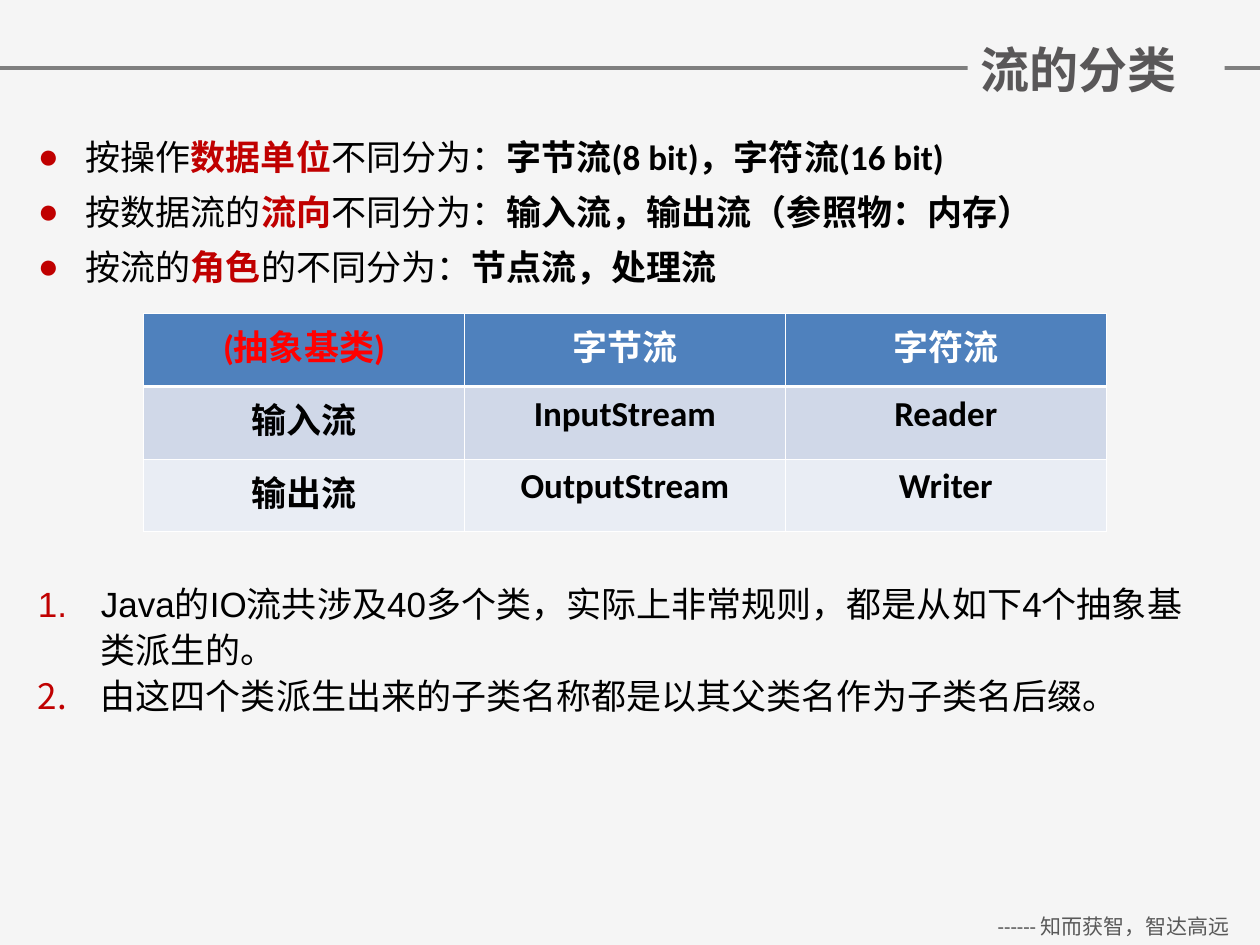
from lxml import etree
from pptx import Presentation
from pptx.dml.color import RGBColor
from pptx.enum.shapes import MSO_CONNECTOR
from pptx.enum.text import MSO_ANCHOR, MSO_AUTO_SIZE, PP_ALIGN
from pptx.oxml import parse_xml
from pptx.oxml.ns import nsdecls, qn
from pptx.util import Inches, Pt

LEFT, CENTER = PP_ALIGN.LEFT, PP_ALIGN.CENTER
TOP, MIDDLE = MSO_ANCHOR.TOP, MSO_ANCHOR.MIDDLE
NO_FIT = MSO_AUTO_SIZE.NONE
STRAIGHT = MSO_CONNECTOR.STRAIGHT
TWO_CONTENT_LAYOUT = 3

THEME = {
    "background": "F5F5F5", "rule": "7F7F7F", "title": "595758",
    "footer": "595959", "text": "000000", "accent": "C00000",
    "warning": "FF0000", "white": "FFFFFF",
    "rows": ["4F81BD", "D0D8E8", "E9EDF4"],
    "title_size": 28, "body_size": 20, "footer_size": 12,
    "latin": "Calibri", "notes_latin": "Arial", "chinese": "Noto Sans CJK SC",
}


def style_run(run, color, size=THEME["body_size"], bold=False, latin=THEME["latin"]):
    run.font.size = Pt(size)
    run.font.bold = bold
    run.font.name = latin
    run.font.color.rgb = RGBColor.from_string(color)
    east_asian = etree.SubElement(run.font._element, qn("a:ea"))
    east_asian.set("typeface", THEME["chinese"])


def style_list_item(paragraph, indent, bullet, space_before):
    """Set spacing, a hanging indent in inches and an accent-coloured bullet."""
    paragraph.line_spacing = 1.1
    paragraph.space_before = Pt(space_before)
    properties = paragraph._p.get_or_add_pPr()
    properties.set("marL", str(Inches(indent)))
    properties.set("indent", str(-Inches(indent)))
    color = etree.SubElement(properties, qn("a:buClr"))
    etree.SubElement(color, qn("a:srgbClr")).set("val", THEME["accent"])
    properties.append(parse_xml(bullet))


presentation = Presentation()
presentation.slide_width = Inches(10)
presentation.slide_height = Inches(7.5)
slide = presentation.slides.add_slide(presentation.slide_layouts[TWO_CONTENT_LAYOUT])
slide.background.fill.solid()
slide.background.fill.fore_color.rgb = RGBColor.from_string(THEME["background"])
title, categories, notes = slide.placeholders

# Header rule, placed behind the title that interrupts it
rule = slide.shapes.add_connector(
    STRAIGHT, 0, Inches(0.54), presentation.slide_width, Inches(0.54))
rule.line.color.rgb = RGBColor.from_string(THEME["rule"])
rule.line.width = Pt(2)
etree.SubElement(rule._element.spPr, qn("a:effectLst"))
title._element.addprevious(rule._element)

# Placeholders and footer box
footer = slide.shapes.add_textbox(0, 0, 0, 0)
for shape, left, top, width, height, anchor in [
    (title, 7.68, 0.26, 2.04, 0.57, MIDDLE),
    (categories, 0.2, 0.99, 9.53, 1.4, TOP),
    (notes, 0.2, 4.54, 9.53, 1.2, TOP),
    (footer, 7.68, 7.2, 2.32, 0.3, TOP),
]:
    shape.left, shape.top = Inches(left), Inches(top)
    shape.width, shape.height = Inches(width), Inches(height)
    shape.text_frame.word_wrap = True
    shape.text_frame.auto_size = NO_FIT
    shape.text_frame.vertical_anchor = anchor

title.fill.solid()
title.fill.fore_color.rgb = RGBColor.from_string(THEME["background"])
for shape, text, size, color, bold, alignment in [
    (title, "流的分类", THEME["title_size"], THEME["title"], True, LEFT),
    (footer, "------ 知而获智，智达高远", THEME["footer_size"], THEME["footer"], False, CENTER),
]:
    shape.text_frame.text = text
    paragraph = shape.text_frame.paragraphs[0]
    paragraph.alignment = alignment
    style_run(paragraph.runs[0], color, size, bold)

# Ways to classify streams: plain, highlighted, plain, bold
category_items = [
    ("按操作", "数据单位", "不同分为：", "字节流(8 bit)，字符流(16 bit)"),
    ("按数据流的", "流向", "不同分为：", "输入流，输出流（参照物：内存）"),
    ("按流的", "角色", "的不同分为：", "节点流，处理流"),
]
dot = f'<a:buChar {nsdecls("a")} char="●"/>'
frame = categories.text_frame
for index, parts in enumerate(category_items):
    paragraph = frame.add_paragraph() if index else frame.paragraphs[0]
    style_list_item(paragraph, 0.38, dot, 5 if index else 0)
    for position, part in enumerate(parts):
        run = paragraph.add_run()
        run.text = part
        color = THEME["accent"] if position == 1 else THEME["text"]
        style_run(run, color, bold=position % 2 == 1)

# Numbered notes
note_items = [
    "Java的IO流共涉及40多个类，实际上非常规则，都是从如下4个抽象基类派生的。",
    "由这四个类派生出来的子类名称都是以其父类名作为子类名后缀。",
]
number = f'<a:buAutoNum {nsdecls("a")} type="arabicPeriod"/>'
notes.text_frame.text = "\n".join(note_items)
for paragraph in notes.text_frame.paragraphs:
    style_list_item(paragraph, 0.5, number, 0)
    style_run(paragraph.runs[0], THEME["text"], latin=THEME["notes_latin"])

# Abstract base classes
base_classes = [
    ("(抽象基类)", "字节流", "字符流"),
    ("输入流", "InputStream", "Reader"),
    ("输出流", "OutputStream", "Writer"),
]
table = slide.shapes.add_table(
    3, 3, Inches(1.14), Inches(2.49), Inches(7.64), Inches(1.73)).table
for row, texts in enumerate(base_classes):
    for column, text in enumerate(texts):
        cell = table.cell(row, column)
        cell_properties = cell._tc.get_or_add_tcPr()
        for side in "LRTB":
            thick = (row, side) in [(0, "B"), (1, "T")]
            border = etree.SubElement(cell_properties, qn(f"a:ln{side}"))
            border.set("w", str(Pt(1.47 if thick else 0.45)))
            border_fill = etree.SubElement(border, qn("a:solidFill"))
            etree.SubElement(border_fill, qn("a:srgbClr")).set("val", THEME["white"])
        cell.fill.solid()
        cell.fill.fore_color.rgb = RGBColor.from_string(THEME["rows"][row])
        cell.text_frame.text = text
        paragraph = cell.text_frame.paragraphs[0]
        paragraph.alignment = CENTER
        color = THEME["text"]
        if row == 0:
            color = THEME["white"] if column else THEME["warning"]
        style_run(paragraph.runs[0], color, bold=True)

presentation.save("out.pptx")
